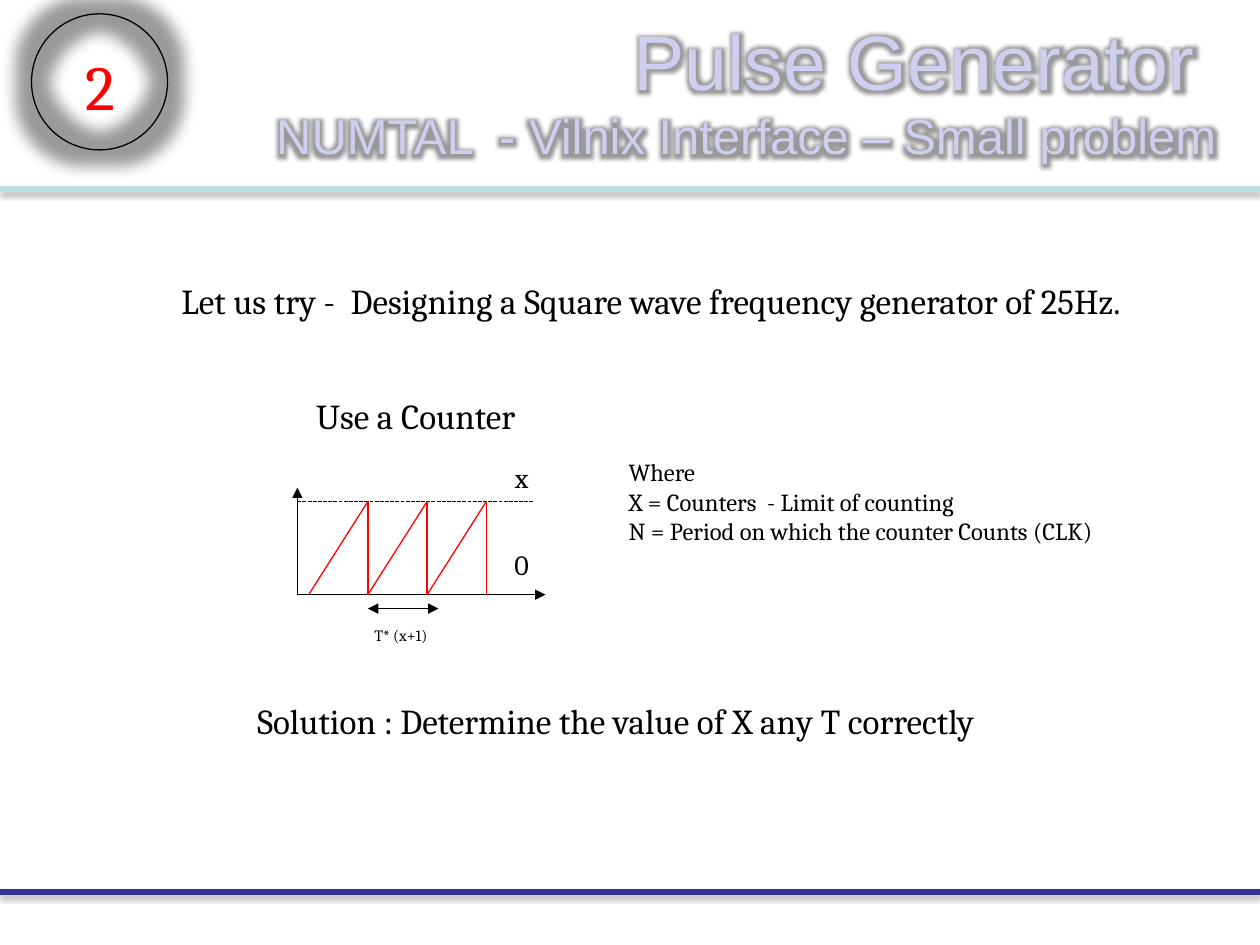
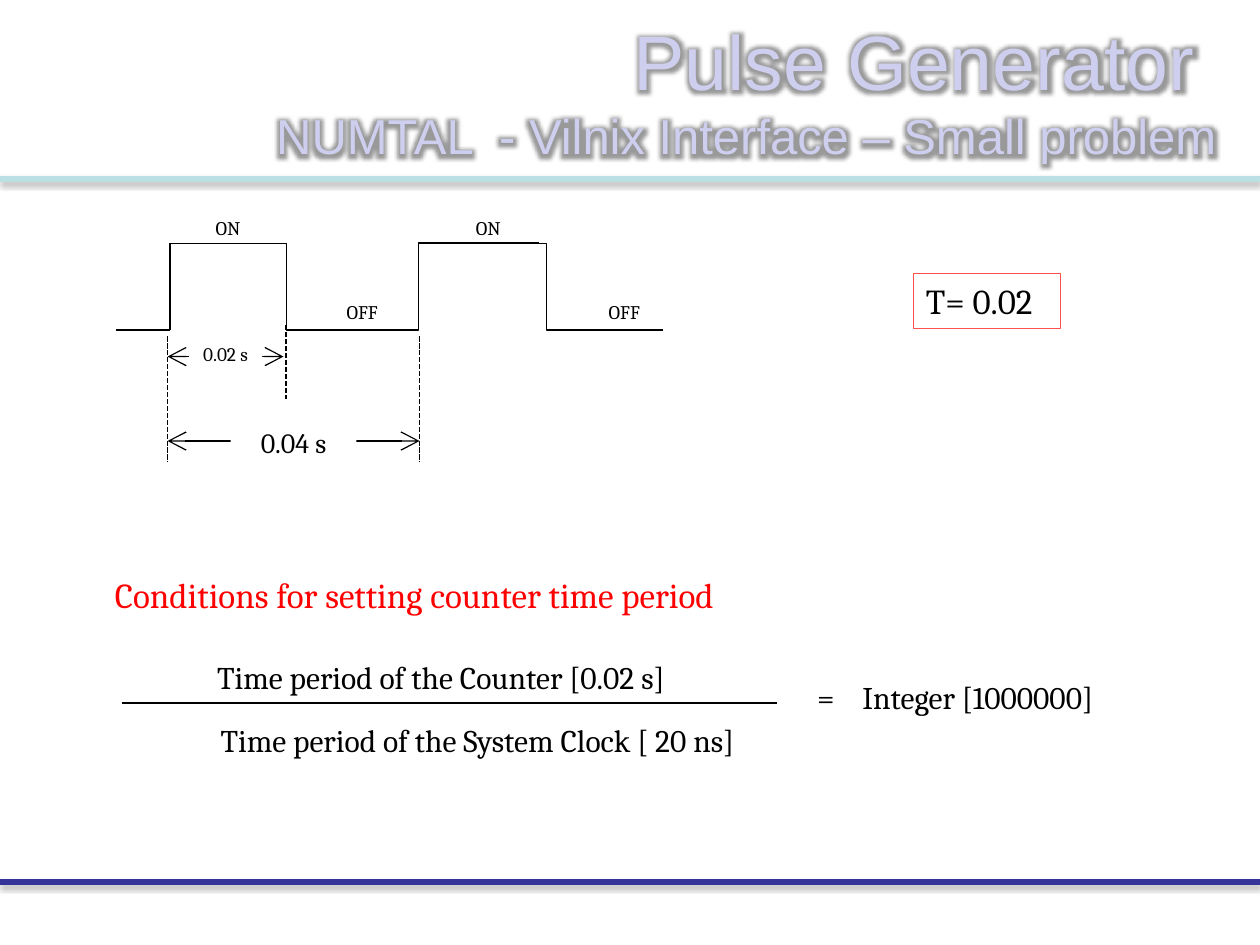
from lxml import etree
from pptx import Presentation
from pptx.dml.color import RGBColor
from pptx.enum.dml import MSO_LINE
from pptx.enum.shapes import MSO_CONNECTOR, MSO_SHAPE
from pptx.enum.text import MSO_ANCHOR, PP_ALIGN
from pptx.oxml import parse_xml
from pptx.oxml.ns import nsdecls, qn
from pptx.util import Inches, Pt

BLACK, WHITE, RED = "000000", "FFFFFF", "FF0000"
LAVENDER, GREEN, TEAL, NAVY, CORAL = "CECEEF", "008000", "BBE0E3", "333399", "FF5050"
BODY_FONT, TITLE_FONT = "Cambria", "Arial"
ALIGN = {"l": PP_ALIGN.LEFT, "c": PP_ALIGN.CENTER, "r": PP_ALIGN.RIGHT}
HEAD_SIZE = {"triangle": "med", "arrow": "lg"}

TITLE_BOX = (0.83, 0.08, 8.92, 1.25)
TITLE_LINES = (("Pulse Generator ", 44), ("NUMTAL  - Vilnix Interface – Small problem", 28))

# text, box (left, top, width, height), format
COUNTER_TEXTS = [
    ("Let us try -  Designing a Square wave frequency generator of 25Hz.",
     (0.67, 2.17, 9, 0.44), {}),
    ("2", (0.42, 0.33, 0.75, 0.71), {"size": 36, "color": RED}),
    ("Solution : Determine the value of X any T correctly ", (0.92, 5.5, 8, 0.44), {}),
    ("Use a Counter", (2.17, 3.08, 2.26, 0.56), {}),
    ("x", (3.95, 3.61, 0.38, 0.47), {"size": 16}),
    ("0", (3.95, 4.3, 0.38, 0.47), {"size": 16}),
    ("T* (x+1) ", (2.81, 4.92, 0.77, 0.25), {"size": 9, "fill": WHITE}),
    ("Where\nX = Counters  - Limit of counting\nN = Period on which the counter Counts (CLK)",
     (4.89, 3.58, 4.61, 1.04), {"size": 14, "align": "l"}),
]
PULSE_TEXTS = [
    ("ON", (1.25, 1.67, 1.12, 0.29), {"size": 11}),
    ("ON", (3.17, 1.67, 1.41, 0.29), {"size": 11}),
    ("OFF", (2.17, 2.33, 1.41, 0.29), {"size": 11}),
    ("OFF", (4.25, 2.33, 1.41, 0.29), {"size": 11}),
    ("0.04 s", (1.83, 3.33, 1, 0.37), {"size": 16, "fill": WHITE}),
    ("0.02 s", (1.5, 2.67, 0.58, 0.29), {"size": 11, "fill": WHITE, "wrap": False}),
    ("Conditions for setting counter time period", (0.25, 4.5, 6.08, 0.44), {"color": RED}),
    ("Time period of the Counter [0.02 s]", (1, 5.17, 5, 0.4), {"size": 18, "fill": WHITE}),
    ("Time period of the System Clock [ 20 ns]", (1.08, 5.67, 5.42, 0.4),
     {"size": 18, "fill": WHITE}),
    ("=", (6.33, 5.33, 0.45, 0.4), {"size": 18}),
    ("Integer [1000000]", (6.7, 5.33, 2.12, 0.4), {"size": 18}),
    ("T= 0.02", (7.25, 2.17, 1.17, 0.44), {"align": "l", "outline": CORAL}),
]

AXIS_LEFT, AXIS_RIGHT, AXIS_TOP = 2.36, 4.33, 3.87
COUNT_ZERO, COUNT_LIMIT = 4.72, 3.98
FIRST_TOOTH, TOOTH_WIDTH, TEETH = 2.45, 0.47, 3
PULSE_HIGH, PULSE_LOW = 1.93, 2.62
# start, end, share of the width at which the line turns
PULSE_STEPS = [
    ((1.35, PULSE_HIGH), (3.2, PULSE_LOW), 0.5),
    ((3.2, PULSE_LOW), (4.28, PULSE_HIGH), 0.112),
    ((3.41, PULSE_HIGH), (5.26, PULSE_LOW), 0.5),
]
PERIOD_MARKS = [(1.33, 2.67, 3.67), (3.33, 2.67, 3.67), (2.27, 2.58, 3.17)]
PERIOD_ARROWS = [(1.33, 3.33, 3.5), (1.33, 2.25, 2.83)]


def rgb(color):
    return RGBColor.from_string(color)


def glow(points):
    """Return an effect list with a soft dark halo."""
    return parse_xml(
        f'<a:effectLst {nsdecls("a")}><a:glow rad="{Pt(points)}"><a:srgbClr val="{BLACK}">'
        '<a:alpha val="40000"/></a:srgbClr></a:glow></a:effectLst>')


def add_text(page, text, box, size=20, color=BLACK, align="c", fill=None, outline=None,
             wrap=True):
    if fill or outline:
        shape = page.shapes.add_shape(MSO_SHAPE.RECTANGLE, *map(Inches, box))
        shape.shadow.inherit = False
        paint(shape, fill, outline)
    else:
        shape = page.shapes.add_textbox(*map(Inches, box))
    frame = shape.text_frame
    frame.word_wrap = wrap
    frame.vertical_anchor = MSO_ANCHOR.TOP
    for index, line in enumerate(text.split("\n")):
        para = frame.paragraphs[0] if index == 0 else frame.add_paragraph()
        add_span(para, line, size, color, BODY_FONT, align)
    return shape


def add_span(para, text, size, color, font, align):
    para.alignment = ALIGN[align]
    span = para.add_run()
    span.text = text
    span.font.size, span.font.name = Pt(size), font
    span.font.color.rgb = rgb(color)
    return span


def paint(shape, fill=None, outline=None):
    if fill:
        shape.fill.solid()
        shape.fill.fore_color.rgb = rgb(fill)
    else:
        shape.fill.background()
    if outline:
        shape.line.color.rgb = rgb(outline)
        shape.line.width = Pt(0.75)
    else:
        shape.line.fill.background()


def add_line(page, start, end, color=BLACK, width=0.75, dashed=False, head=None, tail=None,
             turn=None, shadow=False):
    """Draw a line; turn makes it an elbow that bends at that share of its width."""
    kind = MSO_CONNECTOR.STRAIGHT if turn is None else MSO_CONNECTOR.ELBOW
    line = page.shapes.add_connector(kind, *map(Inches, (*start, *end)))
    line.line.color.rgb = rgb(color)
    line.line.width = Pt(width)
    if dashed:
        line.line.dash_style = MSO_LINE.SQUARE_DOT
    properties = line._element.spPr
    outline = properties.find(qn("a:ln"))
    for tag, style in (("a:headEnd", head), ("a:tailEnd", tail)):
        if style:
            size = HEAD_SIZE[style]
            etree.SubElement(outline, qn(tag), type=style, w=size, len=size)
    if turn is not None:
        guides = properties.find(qn("a:prstGeom")).find(qn("a:avLst"))
        etree.SubElement(guides, qn("a:gd"), name="adj1", fmla=f"val {round(turn * 100000)}")
    effects = etree.SubElement(properties, qn("a:effectLst"))
    if shadow:
        cast = etree.SubElement(effects, qn("a:outerShdw"), blurRad=str(Pt(3.1)),
                                dist=str(Pt(1.8)), dir="5400000", rotWithShape="0")
        tint = etree.SubElement(cast, qn("a:srgbClr"), val=BLACK)
        etree.SubElement(tint, qn("a:alpha"), val="35000")


def add_title(page):
    frame = page.shapes.add_textbox(*map(Inches, TITLE_BOX)).text_frame
    frame.word_wrap = True
    frame.vertical_anchor = MSO_ANCHOR.MIDDLE
    for index, (text, size) in enumerate(TITLE_LINES):
        para = frame.paragraphs[0] if index == 0 else frame.add_paragraph()
        span = add_span(para, text, size, LAVENDER, TITLE_FONT, "r")
        outline = parse_xml(
            f'<a:ln {nsdecls("a")} w="{Pt(1.45)}"><a:solidFill><a:srgbClr val="{GREEN}"/>'
            '</a:solidFill></a:ln>')
        properties = span.font._element
        properties.insert(0, outline)
        properties.find(qn("a:solidFill")).addnext(glow(11))


def add_page(deck, top_rule, bottom_rule):
    page = deck.slides.add_slide(deck.slide_layouts[6])
    add_title(page)
    for height, color in ((bottom_rule, NAVY), (top_rule, TEAL)):
        add_line(page, (0, height), (10, height), color, 3, shadow=True)
    return page


def add_texts(page, texts):
    for text, box, style in texts:
        add_text(page, text, box, **style)


def add_counter_page(deck):
    page = add_page(deck, 1.5, 7.08)
    badge = page.shapes.add_shape(MSO_SHAPE.OVAL, *map(Inches, (0.25, 0.11, 1.08, 1.08)))
    paint(badge, outline=BLACK)
    badge._element.spPr.append(glow(18))

    add_line(page, (AXIS_LEFT, COUNT_ZERO), (AXIS_RIGHT, COUNT_ZERO), tail="triangle")
    add_line(page, (AXIS_LEFT, COUNT_ZERO), (AXIS_LEFT, AXIS_TOP), tail="triangle")
    add_line(page, (AXIS_LEFT, COUNT_LIMIT), (4.24, COUNT_LIMIT), dashed=True)
    for tooth in range(TEETH):
        left = FIRST_TOOTH + tooth * TOOTH_WIDTH
        right = left + TOOTH_WIDTH
        add_line(page, (left, COUNT_ZERO), (right, COUNT_LIMIT), RED)
        add_line(page, (right, COUNT_LIMIT), (right, COUNT_ZERO), RED)
    add_line(page, (3.48, 4.83), (2.92, 4.83), head="triangle", tail="triangle")
    add_texts(page, COUNTER_TEXTS)


def add_pulse_page(deck):
    page = add_page(deck, 1.42, 7)
    add_line(page, (0.92, PULSE_LOW), (1.35, PULSE_LOW))
    add_line(page, (1.35, PULSE_LOW), (1.35, PULSE_HIGH))
    for start, end, turn in PULSE_STEPS:
        add_line(page, start, end, turn=turn)
    for left, top, bottom in PERIOD_MARKS:
        add_line(page, (left, top), (left, bottom), width=1, dashed=True)
    for left, right, height in PERIOD_ARROWS:
        add_line(page, (left, height), (right, height), head="arrow", tail="arrow")
    add_texts(page, PULSE_TEXTS)
    add_line(page, (0.97, 5.58), (6.17, 5.58))


def main():
    deck = Presentation()
    deck.slide_width, deck.slide_height = Inches(10), Inches(7.5)
    add_counter_page(deck)
    add_pulse_page(deck)
    deck.save("out.pptx")


if __name__ == "__main__":
    main()
